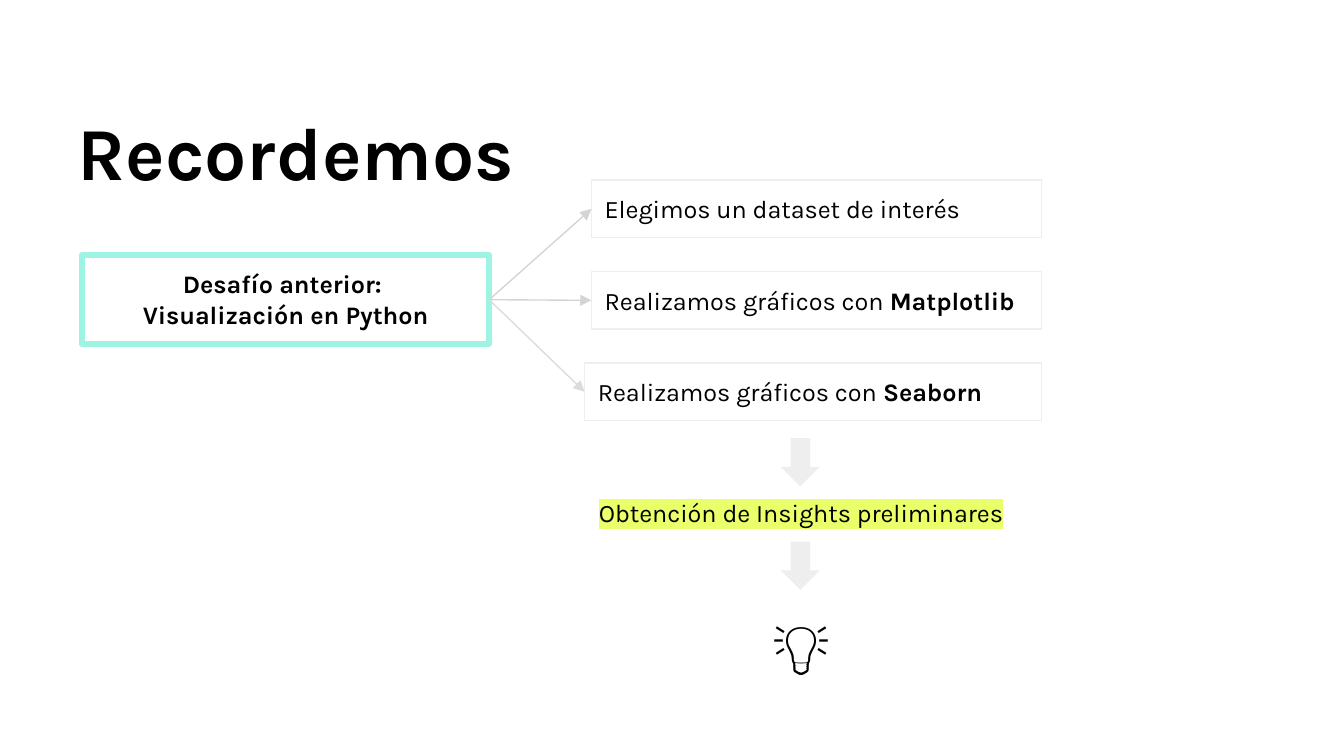
from dataclasses import dataclass

from lxml import etree
from pptx import Presentation
from pptx import util as u
from pptx.dml.color import RGBColor
from pptx.enum import shapes, text
from pptx.oxml import ns


@dataclass(frozen=True)
class Theme:
    font: str = "Karla"
    ink: str = "000000"
    mint: str = "9DF4E2"
    pale: str = "EEEEEE"
    arrow: str = "D4D4D4"
    arrow_light: str = "DCDCDC"
    lime: str = "EAFF6A"
    title: float = 40
    body: float = 13.5
    icon: float = 30


theme = Theme()
prs = Presentation()
prs.slide_width, prs.slide_height = u.Inches(10), u.Inches(10 * 9 / 16)
s = prs.slides.add_slide(prs.slide_layouts[6])


def write(sp, lines, size, align, anchor, bold=None, grow=False):
    tf = sp.text_frame
    tf.word_wrap = True
    tf.vertical_anchor = anchor
    tf.margin_left = tf.margin_right = u.Inches(0.1)
    tf.margin_top = tf.margin_bottom = u.Inches(0.1)
    if grow:
        tf.auto_size = text.MSO_AUTO_SIZE.SHAPE_TO_FIT_TEXT
    for i, runs in enumerate(lines):
        p = tf.add_paragraph() if i else tf.paragraphs[0]
        p.alignment = align
        p.font.name = theme.font
        p.font.size = u.Pt(size)
        p.font.bold = bold
        p.font.color.rgb = RGBColor.from_string(theme.ink)
        for j, words in enumerate(runs):
            r = p.add_run()
            r.text = words
            if j:
                r.font.bold = True
    return tf


def add_box(kind, at, fill=None, line=None, width=0.75):
    sp = s.shapes.add_shape(kind, *map(u.Inches, at))
    sp.shadow.inherit = False
    if fill:
        sp.fill.solid()
        sp.fill.fore_color.rgb = RGBColor.from_string(fill)
    else:
        sp.fill.background()
    if line:
        sp.line.color.rgb = RGBColor.from_string(line)
        sp.line.width = u.Pt(width)
    else:
        sp.line.fill.background()
    return sp


LEFT, CENTER = text.PP_ALIGN.LEFT, text.PP_ALIGN.CENTER
TOP, MIDDLE = text.MSO_ANCHOR.TOP, text.MSO_ANCHOR.MIDDLE
RECT, DOWN = shapes.MSO_SHAPE.RECTANGLE, shapes.MSO_SHAPE.DOWN_ARROW

title = s.shapes.add_textbox(*map(u.Inches, (0.48, 0.59, 7.62, 1.08)))
tf = write(title, [["Recordemos"]], theme.title, LEFT, TOP, bold=True)
tf.paragraphs[0].line_spacing = 1.15

challenge = add_box(RECT, (0.61, 1.9, 3.03, 0.66), line=theme.mint, width=3)
write(challenge, [["Desafío anterior: "], ["Visualización en Python"]],
      theme.body, CENTER, TOP, bold=True, grow=True)

steps = [
    (4.4, theme.arrow, ["Elegimos un dataset de interés"]),
    (4.4, theme.arrow, ["Realizamos gráficos con ", "Matplotlib"]),
    (4.35, theme.arrow_light, ["Realizamos gráficos con ", "Seaborn"]),
]
for i, (left, color, runs) in enumerate(steps):
    step = add_box(RECT, (left, 1.34 + 0.68 * i, 7.75 - left, 0.43), line=theme.pale)
    write(step, [runs], theme.body, LEFT, TOP, grow=True)
    arrow = s.shapes.add_connector(shapes.MSO_CONNECTOR.STRAIGHT, 0, 0, 0, 0)
    arrow.begin_connect(challenge, 3)
    arrow.end_connect(step, 1)
    arrow.line.color.rgb = RGBColor.from_string(color)
    arrow.line.width = u.Pt(0.75)
    etree.SubElement(arrow.line._get_or_add_ln(), ns.qn("a:tailEnd"), type="triangle")
    etree.SubElement(arrow._element.spPr, ns.qn("a:effectLst"))

for top in (3.26, 4.03):
    add_box(DOWN, (5.81, top, 0.29, 0.36), fill=theme.pale)

insights = s.shapes.add_textbox(*map(u.Inches, (4.15, 3.59, 3.62, 0.44)))
tf = write(insights, [["Obtención de Insights preliminares"]], theme.body, CENTER, MIDDLE)
r = tf.paragraphs[0].runs[0]
highlight = etree.SubElement(r.font._element, ns.qn("a:highlight"))
etree.SubElement(highlight, ns.qn("a:srgbClr"), val=theme.lime)

bulb = s.shapes.add_textbox(*map(u.Inches, (4.32, 4.44, 3.28, 0.71)))
write(bulb, [["💡"]], theme.icon, CENTER, TOP, grow=True)

prs.save("out.pptx")
